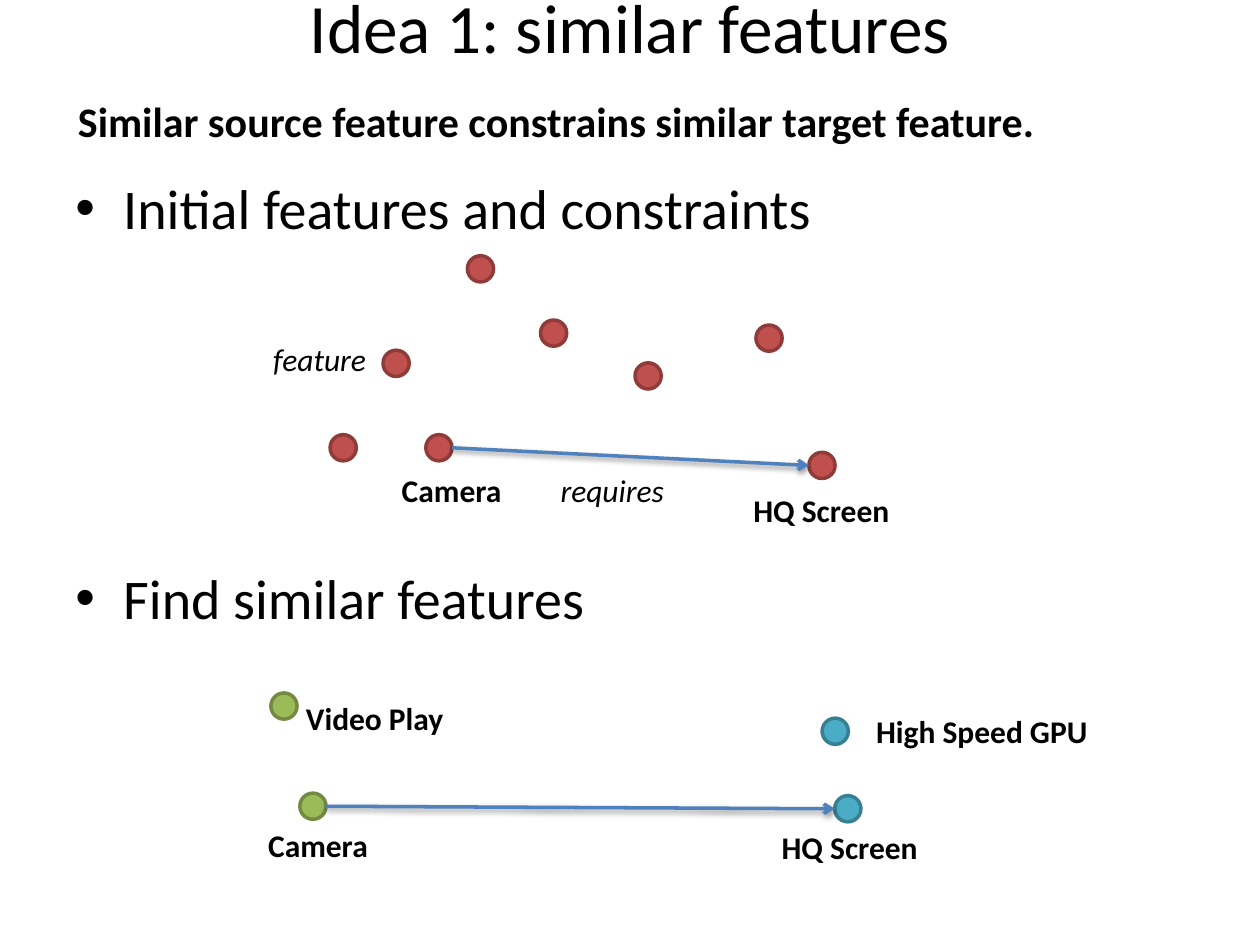
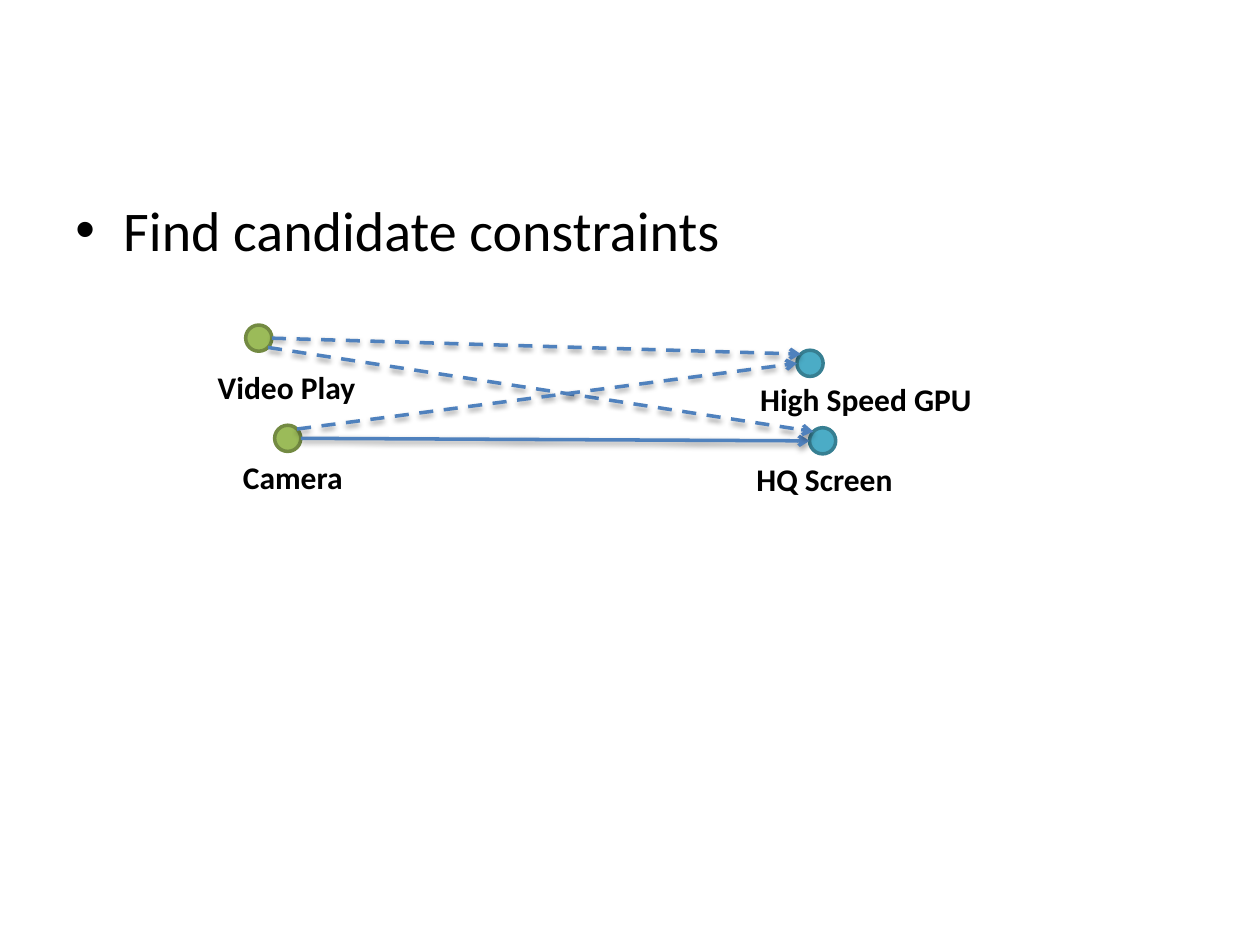
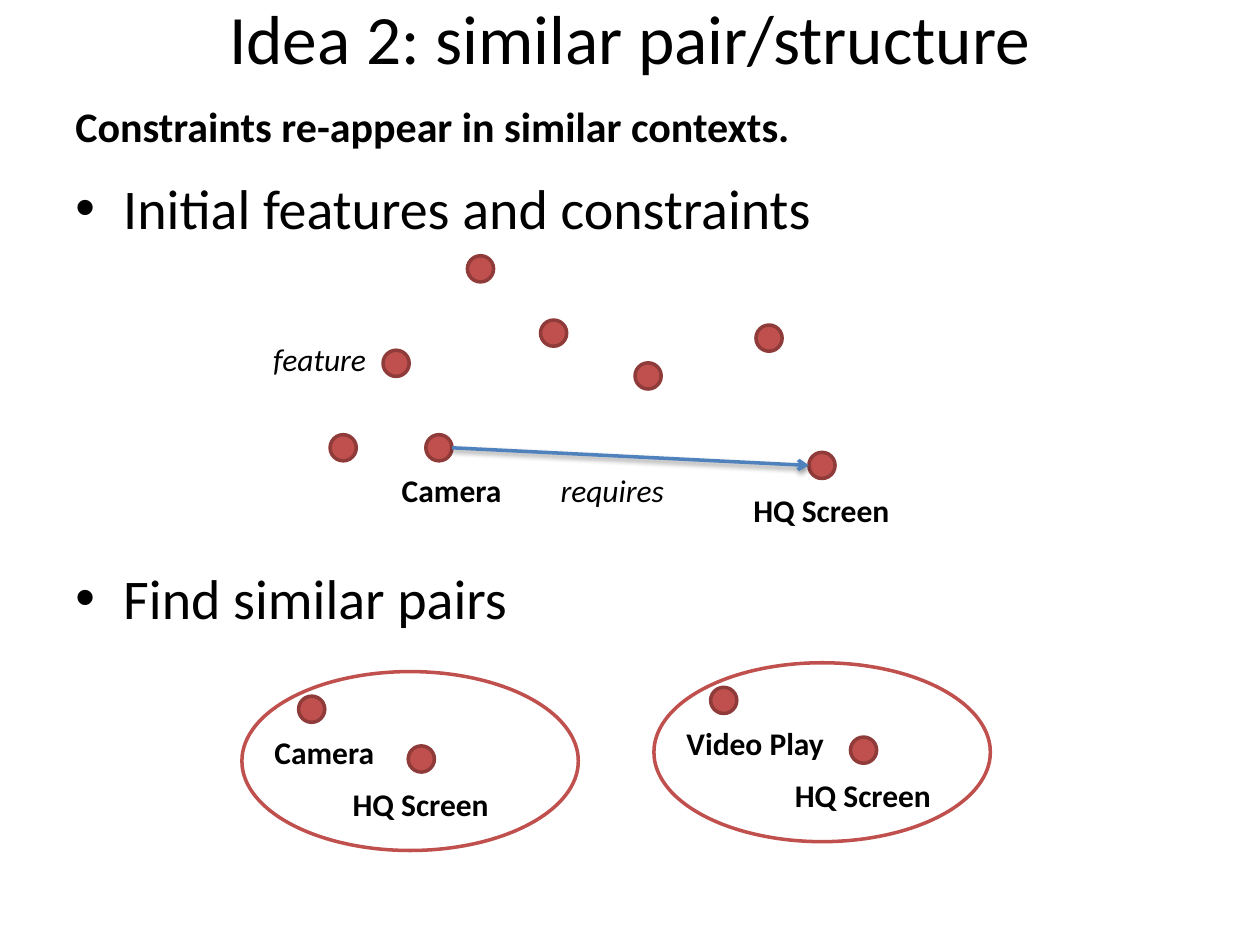
from dataclasses import dataclass
from math import cos, radians, sin

from lxml import etree
from pptx import Presentation
from pptx.dml.color import RGBColor
from pptx.enum.dml import MSO_LINE
from pptx.enum.shapes import MSO_CONNECTOR, MSO_SHAPE
from pptx.enum.text import MSO_ANCHOR, MSO_AUTO_SIZE, PP_ALIGN
from pptx.oxml.ns import qn
from pptx.util import Inches, Pt

OVAL, STRAIGHT, DASH = MSO_SHAPE.OVAL, MSO_CONNECTOR.STRAIGHT, MSO_LINE.DASH
TOP, MIDDLE = MSO_ANCHOR.TOP, MSO_ANCHOR.MIDDLE
LEFT, CENTER = PP_ALIGN.LEFT, PP_ALIGN.CENTER
GROW, FIXED = MSO_AUTO_SIZE.SHAPE_TO_FIT_TEXT, MSO_AUTO_SIZE.NONE

# The slide is a grid of 100 columns by 75 rows; all lengths are in cells.
SLIDE_WIDTH, SLIDE_HEIGHT = Inches(10), Inches(7.5)
COLUMN, ROW = SLIDE_WIDTH / 100, SLIDE_HEIGHT / 75
DOT = 2.08
LABEL_HEIGHT = 4
LABEL_WIDTHS = {"requires": 10.5, "feature": 9.5, "Camera": 10,
                "HQ Screen": 12.9, "Video Play": 13, "High Speed GPU": 19}

# Angles on a dot's rim, clockwise from its right side.
EAST, SOUTH_EAST, WEST, NORTH_WEST, NORTH_EAST = 0, 45, 180, 225, 315


@dataclass(frozen=True)
class Theme:
    font: str = "Calibri"
    bullet_font: str = "Arial"
    ink: str = "000000"
    link: str = "4F81BD"
    red: tuple = ("C0504D", "8E3B39")
    green: tuple = ("9BBB59", "738A42")
    teal: tuple = ("4BACC6", "377F92")
    line: float = 2
    title: float = 39.6
    heading: float = 32
    claim: float = 24
    label: float = 18


@dataclass(frozen=True)
class Box:
    left: float
    top: float
    width: float
    height: float

    def area(self, column, row, width, height):
        return Box(self.left + column, self.top + row, width, height)

    def rim(self, angle):
        """Point on the oval that fills this box."""
        turn = radians(angle)
        return (self.left + self.width / 2 * (1 + cos(turn)),
                self.top + self.height / 2 * (1 + sin(turn)))

    def emu(self):
        return (round(self.left * COLUMN), round(self.top * ROW),
                round(self.width * COLUMN), round(self.height * ROW))


THEME = Theme()
UPPER = Box(5, 13.3, 90, 29.2)
LOWER = Box(5, 44.2, 90, 29.2)


def apply(target, formats):
    for name, value in formats.items():
        setattr(target, name, value)


def add_text(slide, box, text, size, bold=False, italic=False, align=LEFT,
             anchor=TOP, wrap=True, fit=FIXED):
    frame = slide.shapes.add_textbox(*box.emu()).text_frame
    apply(frame, {"word_wrap": wrap, "auto_size": fit, "vertical_anchor": anchor})
    paragraph = frame.paragraphs[0]
    paragraph.alignment = align
    run = paragraph.add_run()
    run.text = text
    apply(run.font, {"name": THEME.font, "size": Pt(size),
                     "bold": bold, "italic": italic})
    run.font.color.rgb = RGBColor.from_string(THEME.ink)
    return paragraph


def add_title(slide, box, text):
    add_text(slide, box, text, THEME.title, align=CENTER, anchor=MIDDLE)


def add_claim(slide, box, text):
    add_text(slide, box, text, THEME.claim, bold=True, fit=GROW)


def add_heading(slide, box, text):
    """Bulleted step at the top of a region."""
    properties = add_text(slide, box, text, THEME.heading)._p.get_or_add_pPr()
    indent = Inches(0.38)
    properties.set("marL", str(indent))
    properties.set("indent", str(-indent))
    etree.SubElement(properties, qn("a:buFont"), typeface=THEME.bullet_font)
    etree.SubElement(properties, qn("a:buChar"), char="•")


def add_label(slide, anchor_box, text, offset, italic=False):
    box = anchor_box.area(*offset, LABEL_WIDTHS[text], LABEL_HEIGHT)
    add_text(slide, box, text, THEME.label, bold=not italic, italic=italic,
             wrap=False, fit=GROW)


def add_oval(slide, box, outline, fill=None):
    oval = slide.shapes.add_shape(OVAL, *box.emu())
    oval.shadow.inherit = False
    if fill:
        oval.fill.solid()
        oval.fill.fore_color.rgb = RGBColor.from_string(fill)
    else:
        oval.fill.background()
    oval.line.color.rgb = RGBColor.from_string(outline)
    oval.line.width = Pt(THEME.line)


def add_feature(slide, region, position, colours, name=None, offset=None):
    """Dot with an optional name, placed relative to the dot; returns its box."""
    dot = region.area(*position, DOT, DOT)
    fill, outline = colours
    add_oval(slide, dot, outline, fill)
    if name:
        add_label(slide, dot, name, offset)
    return dot


def add_constraint(slide, source, target, leave=EAST, arrive=WEST, dash=None):
    """Shadowed arrow from one dot's rim to another's."""
    (x1, y1), (x2, y2) = source.rim(leave), target.rim(arrive)
    arrow = slide.shapes.add_connector(
        STRAIGHT, round(x1 * COLUMN), round(y1 * ROW),
        round(x2 * COLUMN), round(y2 * ROW))
    arrow.line.color.rgb = RGBColor.from_string(THEME.link)
    apply(arrow.line, {"width": Pt(THEME.line), "dash_style": dash})
    etree.SubElement(arrow.line._get_or_add_ln(), qn("a:tailEnd"), type="arrow")
    effects = etree.SubElement(arrow._element.spPr, qn("a:effectLst"))
    shadow = etree.SubElement(
        effects, qn("a:outerShdw"), blurRad=str(Pt(3.1)), dist=str(Pt(1.6)),
        dir="5400000", rotWithShape="0")
    colour = etree.SubElement(shadow, qn("a:srgbClr"), val=THEME.ink)
    etree.SubElement(colour, qn("a:alpha"), val="38000")


def add_initial_features(slide, region):
    add_heading(slide, region, "Initial features and constraints")
    for position in ((21.2, 21.2), (32.1, 7), (37.9, 12.1), (45.4, 15.5), (55, 12.5)):
        add_feature(slide, region, position, THEME.red)
    example = add_feature(slide, region, (25.4, 14.5), THEME.red)
    add_label(slide, example, "feature", (-9.7, -1.3), italic=True)
    camera = add_feature(slide, region, (28.8, 21.2), THEME.red,
                         "Camera", (-2.9, 2.4))
    screen = add_feature(slide, region, (59.2, 22.6), THEME.red,
                         "HQ Screen", (-5.4, 2.6))
    add_constraint(slide, camera, screen)
    add_label(slide, region, "requires", (38.5, 23.6), italic=True)


def add_similar_features(slide, region, video_offset, gpu_offset):
    """Two source and two target features with the known constraint."""
    video = add_feature(slide, region, (0, 0), THEME.green,
                        "Video Play", video_offset)
    camera = add_feature(slide, region, (2.3, 7.95), THEME.green,
                         "Camera", (-3.5, 2.1))
    gpu = add_feature(slide, region, (43.75, 2), THEME.teal,
                      "High Speed GPU", gpu_offset)
    screen = add_feature(slide, region, (44.75, 8.15), THEME.teal,
                         "HQ Screen", (-5.2, 2.1))
    add_constraint(slide, camera, screen)
    return video, camera, gpu, screen


def add_pair(slide, region, source, target_column):
    add_feature(slide, region, (4.5, 1.95), THEME.red, source, (-2.9, 2.45))
    add_feature(slide, region, (target_column, 5.9), THEME.red,
                "HQ Screen", (-5.4, 2.6))
    add_oval(slide, region, THEME.red[0])


def build_similar_features(slide):
    add_title(slide, Box(5, 0.2, 90, 3.7), "Idea 1: similar features")
    add_claim(slide, Box(5.2, 7.1, 91.5, 5),
              "Similar source feature constrains similar target feature.")
    add_initial_features(slide, UPPER)
    add_heading(slide, LOWER, "Find similar features")
    add_similar_features(slide, LOWER.area(16.5, 10.8, 47, 10.2),
                         video_offset=(1.8, 0), gpu_offset=(3.3, -1))


def build_candidate_constraints(slide):
    body = Box(5, 15, 90, 52)
    add_heading(slide, body, "Find candidate constraints")
    video, camera, gpu, screen = add_similar_features(
        slide, body.area(14.5, 10.8, 47, 10.2),
        video_offset=(-3.2, 2.9), gpu_offset=(-3.9, 1.9))
    for source, target, leave, arrive in (
            (video, gpu, EAST, NORTH_WEST),
            (video, screen, SOUTH_EAST, NORTH_WEST),
            (camera, gpu, NORTH_EAST, WEST)):
        add_constraint(slide, source, target, leave, arrive, DASH)


def build_similar_pairs(slide):
    add_title(slide, Box(5, 1.7, 90, 2.5), "Idea 2: similar pair/structure")
    add_claim(slide, Box(5, 7.5, 79, 5),
              "Constraints re-appear in similar contexts.")
    add_initial_features(slide, UPPER)
    add_heading(slide, LOWER, "Find similar pairs")
    add_pair(slide, LOWER.area(14.2, 9.1, 26.7, 14.2), "Camera", 13.2)
    add_pair(slide, LOWER.area(46.9, 8.4, 26.7, 14.2), "Video Play", 15.6)


def main():
    deck = Presentation()
    apply(deck, {"slide_width": SLIDE_WIDTH, "slide_height": SLIDE_HEIGHT})
    blank = deck.slide_layouts[6]
    for build in (build_similar_features, build_candidate_constraints,
                  build_similar_pairs):
        build(deck.slides.add_slide(blank))
    deck.save("out.pptx")


if __name__ == "__main__":
    main()
